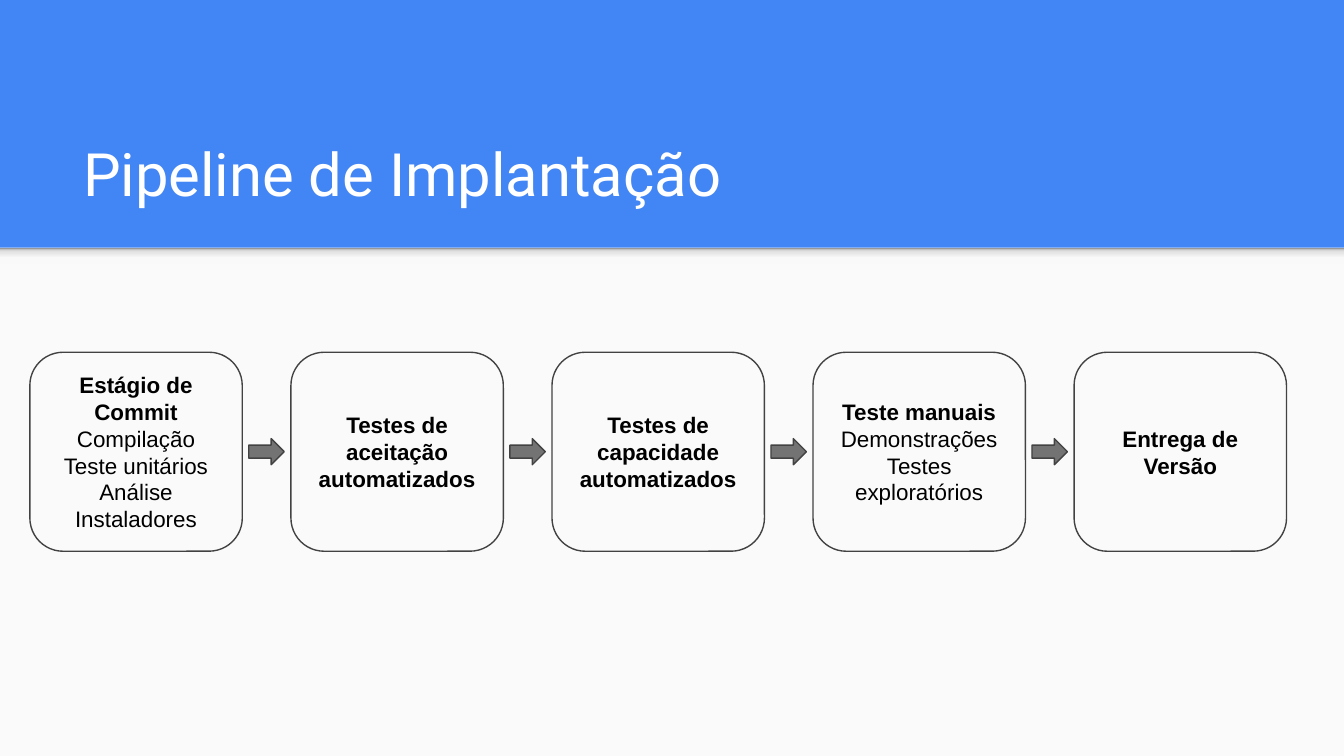
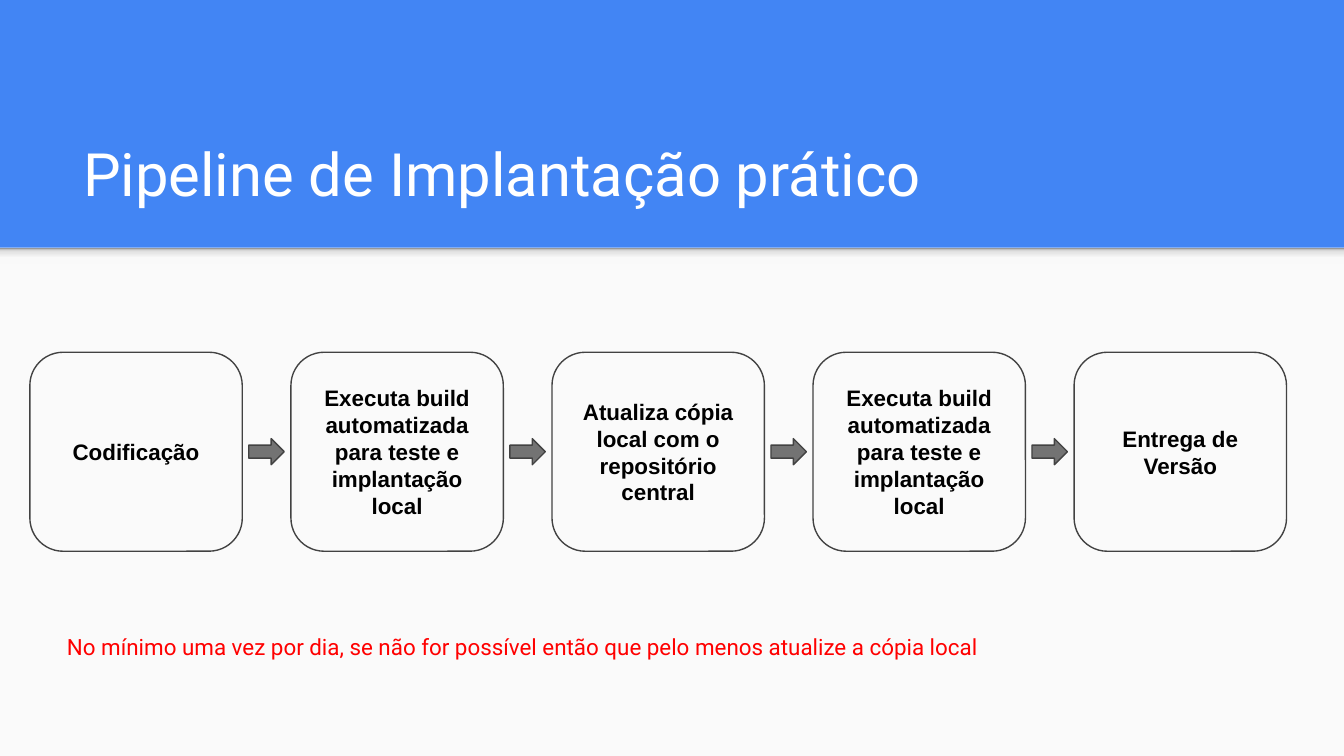
from copy import deepcopy

from pptx import Presentation
from pptx.dml.color import RGBColor
from pptx.enum.shapes import MSO_SHAPE
from pptx.enum.text import MSO_ANCHOR, PP_ALIGN
from pptx.oxml.ns import qn
from pptx.util import Pt

RECT, ROUND, ARROW = MSO_SHAPE.RECTANGLE, MSO_SHAPE.ROUNDED_RECTANGLE, MSO_SHAPE.RIGHT_ARROW
MIDDLE, BOTTOM = MSO_ANCHOR.MIDDLE, MSO_ANCHOR.BOTTOM
LEFT, CENTER = PP_ALIGN.LEFT, PP_ALIGN.CENTER

BLUE = RGBColor(0x42, 0x85, 0xF4)
PAPER = RGBColor(0xFA, 0xFA, 0xFA)
EDGE = RGBColor(0x42, 0x42, 0x42)
GRAY = RGBColor(0x73, 0x73, 0x73)
WHITE = RGBColor(0xFF, 0xFF, 0xFF)
BLACK = RGBColor(0, 0, 0)
RED = RGBColor(0xFF, 0, 0)
PALE = RGBColor(0xF9, 0xF9, 0xF9)
SHADE = [(0, PALE), (0.36, PALE),
         (0.8, RGBColor(0xDE, 0xDE, 0xDE)), (1, RGBColor(0x99, 0x99, 0x99))]

HEAD = {"name": "Roboto", "size": Pt(32), "color": WHITE}
NOTE = {"name": "Roboto", "size": Pt(12), "color": RED}
PLAIN = {"name": "Arial", "size": Pt(12), "color": BLACK, "bold": False}
BOLD = {**PLAIN, "bold": True}

# Boxes are left, top, width, height in points
WIDE, HIGH, BAND = 720, 405, 132.75
TITLE = (37.4, 58.5, 647.3, 60.3)
FLOW = (16, 188.7, 673.2, 106.6)
FOOT = (28.8, 334.7, 647.3, 26)
STEP_W, ARROW_W, ARROW_H = 113.8, 19, 14

BUILD = "Executa build automatizada para teste e implantação local"
SLIDES = [
    ("Pipeline de Implantação", [
        ("Estágio de Commit", "Compilação", "Teste unitários", "Análise", "Instaladores"),
        ("Testes de aceitação automatizados",),
        ("Testes de capacidade automatizados",),
        ("Teste manuais", "Demonstrações", "Testes exploratórios"),
        ("Entrega de Versão",),
    ], None),
    ("Pipeline de Implantação prático", [
        ("Codificação",),
        (BUILD,),
        ("Atualiza cópia local com o repositório central",),
        (BUILD,),
        ("Entrega de Versão",),
    ], "No mínimo uma vez por dia, se não for possível então "
       "que pelo menos atualize a cópia local"),
]


def style(font, look):
    for key, value in look.items():
        if key == "color":
            font.color.rgb = value
        else:
            setattr(font, key, value)


def write(frame, lines, anchor, align):
    """Fill a frame with one paragraph of (text, look) lines."""
    form = {"word_wrap": True, "vertical_anchor": anchor}
    form |= {f"margin_{side}": Pt(7.2) for side in ("left", "top", "right", "bottom")}
    for key, value in form.items():
        setattr(frame, key, value)
    par = frame.paragraphs[0]
    par.alignment = align
    for i, (text, look) in enumerate(lines):
        if i:
            par.add_line_break()
            # The break takes the size of the line before it
            par._p[-1].append(deepcopy(run.font._element))
        run = par.add_run()
        run.text = text
        style(run.font, look)


def shape(slide, kind, box, fill=None, line=None):
    item = slide.shapes.add_shape(kind, *map(Pt, box))
    item.shadow.inherit = False
    if fill:
        item.fill.solid()
        item.fill.fore_color.rgb = fill
    else:
        item.fill.background()
    if line:
        item.line.color.rgb = line
        item.line.width = Pt(0.75)
    else:
        item.line.fill.background()
    return item


def label(slide, box, text, look):
    frame = slide.shapes.add_textbox(*map(Pt, box)).text_frame
    write(frame, [(text, look)], BOTTOM, LEFT)


def shade(item):
    """Give the strip under the header its soft shadow."""
    fill = item.fill
    fill.gradient()
    fill.gradient_angle = 90
    stops = item.element.spPr.find(qn("a:gradFill")).find(qn("a:gsLst"))
    while len(stops) < len(SHADE):
        stops.append(deepcopy(stops[0]))
    for stop, (place, color) in zip(fill.gradient_stops, SHADE):
        stop.position = place
        stop.color.rgb = color


def base(slide, title):
    """Draw the blue header, the pale body and the title."""
    back = slide.background.fill
    back.solid()
    back.fore_color.rgb = BLUE
    shape(slide, RECT, (0, BAND, WIDE, HIGH - BAND), PAPER)
    shade(shape(slide, RECT, (0, BAND, WIDE, 8.5)))
    label(slide, TITLE, title, HEAD)


def flow(slide, box, steps):
    """Spread the steps over the box and point an arrow across each gap."""
    left, top, width, height = box
    pitch = (width - STEP_W) / (len(steps) - 1)
    for i, (head, *rest) in enumerate(steps):
        item = shape(slide, ROUND, (left + i * pitch, top, STEP_W, height), line=EDGE)
        item.adjustments[0] = 0.167
        lines = [(head, BOLD)] + [(text, PLAIN) for text in rest]
        write(item.text_frame, lines, MIDDLE, CENTER)
    inset = STEP_W + (pitch - STEP_W - ARROW_W) / 2
    for i in range(len(steps) - 1):
        spot = (left + i * pitch + inset, top + (height - ARROW_H) / 2, ARROW_W, ARROW_H)
        shape(slide, ARROW, spot, GRAY, EDGE)


def main():
    deck = Presentation()
    deck.slide_width, deck.slide_height = Pt(WIDE), Pt(HIGH)
    for title, steps, note in SLIDES:
        slide = deck.slides.add_slide(deck.slide_layouts[6])
        base(slide, title)
        flow(slide, FLOW, steps)
        if note:
            label(slide, FOOT, note, NOTE)
    deck.save("out.pptx")


if __name__ == "__main__":
    main()
